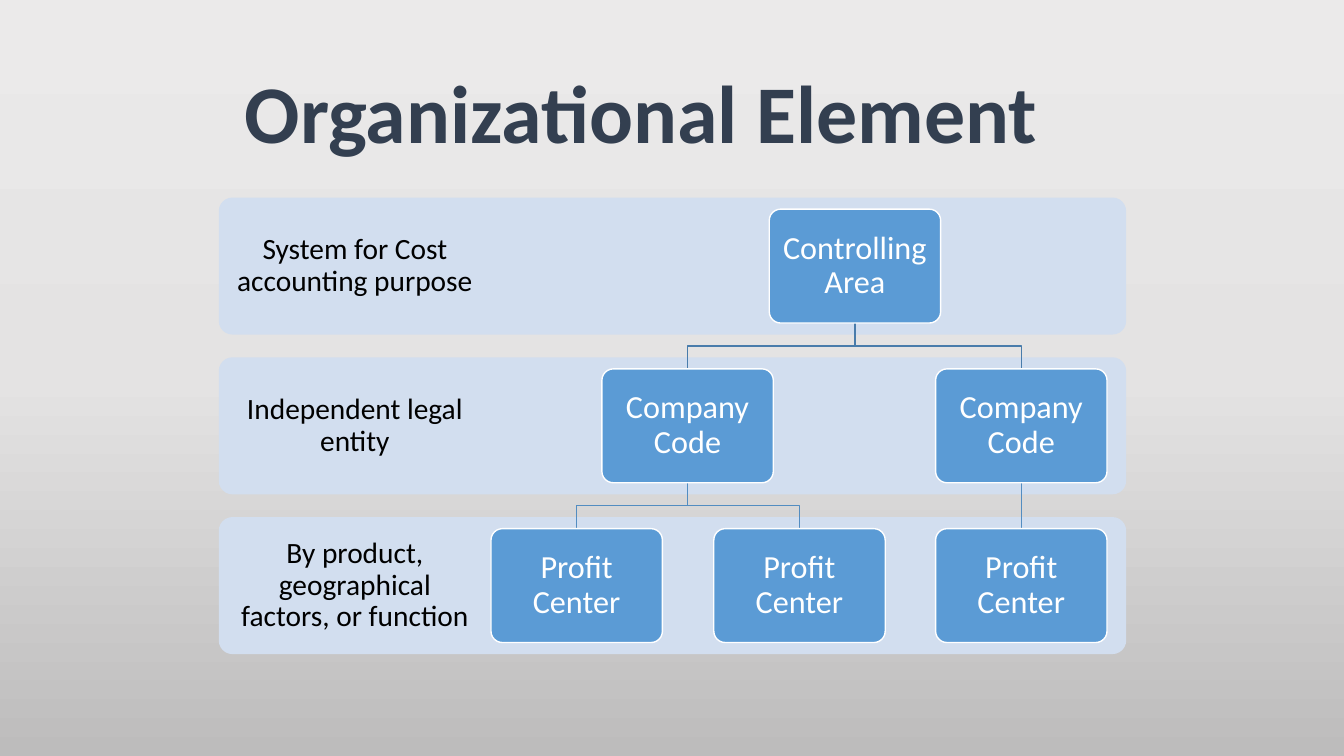
"""Build the Organizational Element slide: a three-level hierarchy over labelled bands."""
import copy

import lxml.etree
import pptx
import pptx.dml.color
import pptx.enum.shapes
import pptx.enum.text
import pptx.oxml.ns
import pptx.util
from pptx.util import Inches


def color(hex_string):
    return pptx.dml.color.RGBColor.from_string(hex_string)


def add_box(left, top, width, height, fill, text, size, text_color, inset, right_inset):
    shape = slide.shapes.add_shape(
        pptx.enum.shapes.MSO_SHAPE.ROUNDED_RECTANGLE,
        Inches(left), Inches(top), Inches(width), Inches(height))
    shape.adjustments[0] = 0.1
    shape.shadow.inherit = False
    shape.fill.solid()
    shape.fill.fore_color.rgb = color(fill)
    shape.line.fill.background()
    frame = shape.text_frame
    frame.word_wrap = True
    frame.vertical_anchor = pptx.enum.text.MSO_ANCHOR.MIDDLE
    frame.margin_left = frame.margin_top = frame.margin_bottom = Inches(inset)
    frame.margin_right = Inches(right_inset)
    paragraph = frame.paragraphs[0]
    paragraph.alignment = pptx.enum.text.PP_ALIGN.CENTER
    paragraph.line_spacing = 0.9
    run = paragraph.add_run()
    run.text = text
    run.font.name = "Calibri"
    run.font.size = pptx.util.Pt(size)
    run.font.color.rgb = color(text_color)
    return shape


presentation = pptx.Presentation()
presentation.slide_width = Inches(13.33)
presentation.slide_height = Inches(7.5)
slide = presentation.slides.add_slide(presentation.slide_layouts[6])

background = slide.background.fill
background.gradient()
background.gradient_angle = 270
stop_list = slide.element.xpath(".//a:gsLst")[0]
stop_list.insert(1, copy.deepcopy(stop_list[0]))
gradient = [(0, "EBEAEA"), (0.5, "E4E3E3"), (1, "BDBCBC")]
for stop, (position, stop_color) in zip(background.gradient_stops, gradient):
    stop.position = position
    stop.color.rgb = color(stop_color)

title = slide.shapes.add_textbox(Inches(2.33), Inches(0.47), Inches(9), Inches(1.25))
title.text_frame.word_wrap = True
title.text_frame.vertical_anchor = pptx.enum.text.MSO_ANCHOR.MIDDLE
title_run = title.text_frame.paragraphs[0].add_run()
title_run.text = "Organizational Element"
title_run.font.name = "Calibri"
title_run.font.size = pptx.util.Pt(58.5)
title_run.font.bold = True
title_run.font.color.rgb = color("333F50")

band_left, band_top, band_width, band_height = 2.17, 1.96, 9, 1.36
label_width = 2.7
level_step = 1.585
node_width, node_height = 1.7, 1.13
node_top = 2.075
band_labels = [
    "System for Cost accounting purpose",
    "Independent legal entity",
    "By product, geographical factors, or function",
]
for level, label in enumerate(band_labels):
    add_box(band_left, band_top + level * level_step, band_width, band_height,
            "D2DEEF", label, 21, "000000", 0.12, band_width - label_width + 0.12)

links = [
    (0, 8.48, 6.82, "497CAB"),
    (0, 8.48, 10.13, "497CAB"),
    (1, 6.82, 5.72, "538DC1"),
    (1, 6.82, 7.93, "538DC1"),
    (1, 10.13, 10.13, "538DC1"),
]
for level, parent_x, child_x, line_color in links:
    start_y = node_top + level * level_step + node_height
    end_y = node_top + (level + 1) * level_step
    middle_y = (start_y + end_y) / 2
    if parent_x == child_x:
        link = slide.shapes.add_connector(
            pptx.enum.shapes.MSO_CONNECTOR.STRAIGHT,
            Inches(parent_x), Inches(start_y), Inches(child_x), Inches(end_y))
        lxml.etree.SubElement(link.element.spPr, pptx.oxml.ns.qn("a:effectLst"))
    else:
        builder = slide.shapes.build_freeform(Inches(parent_x), Inches(start_y))
        corners = [(parent_x, middle_y), (child_x, middle_y), (child_x, end_y)]
        builder.add_line_segments([(Inches(x), Inches(y)) for x, y in corners], close=False)
        link = builder.convert_to_shape()
        link.fill.background()
        link.shadow.inherit = False
    link.line.color.rgb = color(line_color)
    link.line.width = pptx.util.Pt(1)

nodes = [
    ("Controlling Area", [8.48]),
    ("Company Code", [6.82, 10.13]),
    ("Profit Center", [5.72, 7.93, 10.13]),
]
for level, (name, centers) in enumerate(nodes):
    for center in centers:
        node = add_box(center - node_width / 2, node_top + level * level_step,
                       node_width, node_height, "5B9BD5", name, 23, "FFFFFF", 0.1, 0.1)
        node.line.color.rgb = color("FFFFFF")
        node.line.width = pptx.util.Pt(1)

presentation.save("out.pptx")
